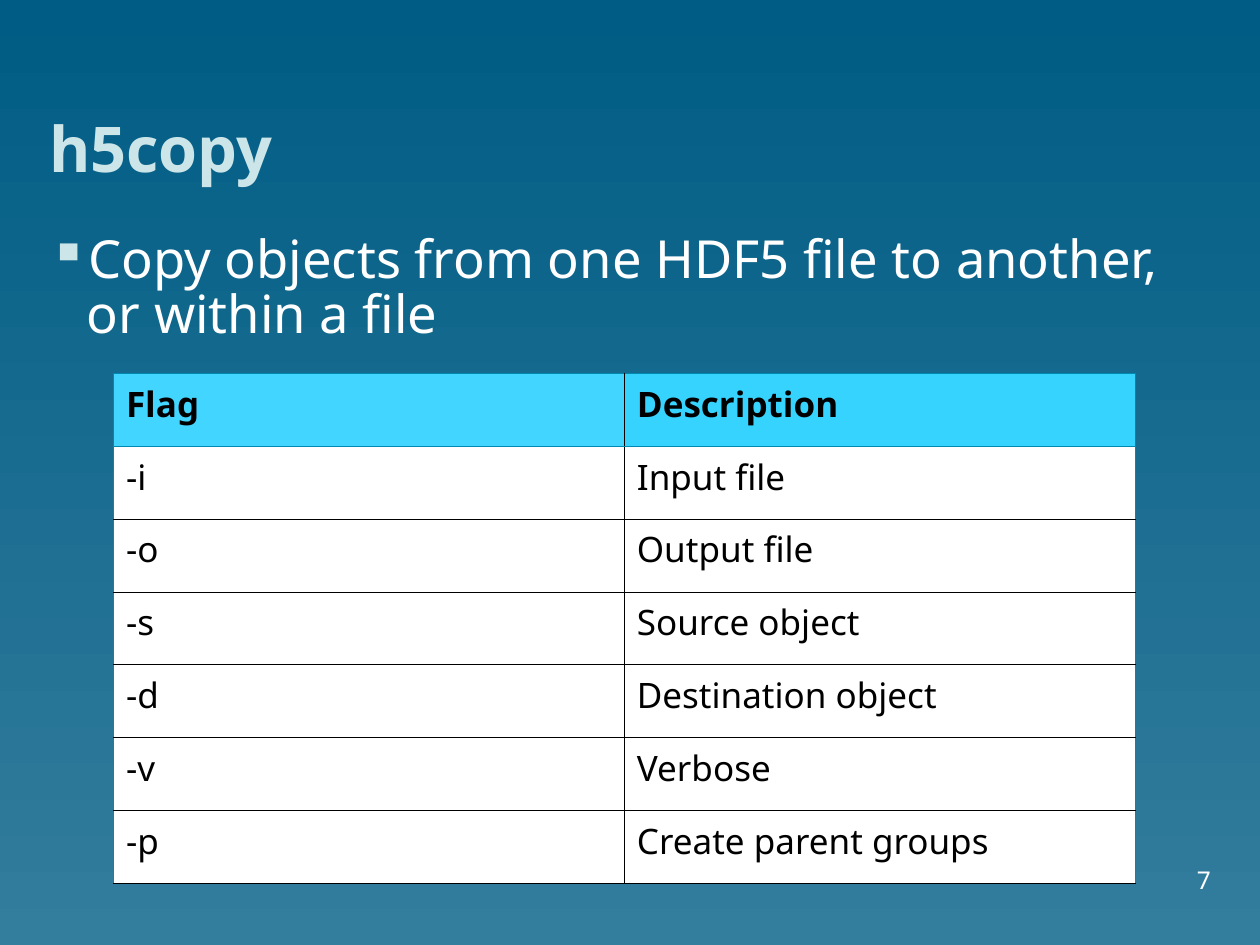
from dataclasses import dataclass

from lxml import etree
from pptx import Presentation
from pptx.dml.color import RGBColor
from pptx.enum import text
from pptx.oxml import ns
from pptx.util import Inches, Pt

WIDTH, HEIGHT = Inches(10), Inches(7.5)
FONT = "Noto Sans"
PALE, WHITE, BLACK, EDGE = "CCE5E9", "FFFFFF", "000000", "0089B0"
HEADER_FILLS = ("42D5FF", "37D3FF")
ROWS = (
    ("Flag", "Description"),
    ("-i", "Input file"),
    ("-o", "Output file"),
    ("-s", "Source object"),
    ("-d", "Destination object"),
    ("-v", "Verbose"),
    ("-p", "Create parent groups"),
)


@dataclass(frozen=True)
class Area:
    left: float
    top: float
    width: float
    height: float

    def lengths(self) -> tuple[int, ...]:
        return (
            round(self.left * WIDTH),
            round(self.top * HEIGHT),
            round(self.width * WIDTH),
            round(self.height * HEIGHT),
        )


@dataclass(frozen=True)
class Label:
    words: str
    area: Area
    size: int
    color: str = WHITE
    bold: bool = False
    anchor: text.MSO_ANCHOR = text.MSO_ANCHOR.BOTTOM
    align: text.PP_ALIGN = text.PP_ALIGN.LEFT


TITLE = Label("h5copy", Area(0.039, 0, 0.921, 0.196), 36, PALE, True)
SUMMARY = Label(
    "Copy objects from one HDF5 file to another, or within a file",
    Area(0.039, 0.248, 0.921, 0.656), 30, anchor=text.MSO_ANCHOR.TOP,
)
NUMBER = Label("7", Area(0.752, 0.92, 0.209, 0.027), 14, align=text.PP_ALIGN.RIGHT)
FLAGS = Area(0.09, 0.395, 0.811, 0.54)


def color(value: str) -> RGBColor:
    return RGBColor.from_string(value)


def set_font(para, size: int, value: str, bold: bool) -> None:
    para.font.name = FONT
    para.font.size = Pt(size)
    para.font.bold = bold
    para.font.color.rgb = color(value)


def add_label(page, label: Label):
    box = page.shapes.add_textbox(*label.area.lengths())
    frame = box.text_frame
    frame.word_wrap = True
    frame.vertical_anchor = label.anchor
    frame.margin_left = frame.margin_right = frame.margin_top = frame.margin_bottom = 0
    para = frame.paragraphs[0]
    para.text = label.words
    para.alignment = label.align
    set_font(para, label.size, label.color, label.bold)
    return para


def add_bullet(para, sign: str, value: str, indent: float) -> None:
    para.line_spacing = 0.87
    props = para._p.get_or_add_pPr()
    props.set("marL", str(Inches(indent)))
    props.set("indent", str(-Inches(indent)))
    tint = etree.Element(ns.qn("a:buClr"))
    etree.SubElement(tint, ns.qn("a:srgbClr"), val=value)
    mark = etree.Element(ns.qn("a:buChar"), char=sign)
    spacing = props.find(ns.qn("a:lnSpc"))
    spacing.addnext(tint)
    tint.addnext(mark)


def add_border(cell, side: str, value: str) -> None:
    line = etree.SubElement(
        cell._tc.get_or_add_tcPr(), ns.qn(f"a:ln{side}"), w=str(Pt(0.45))
    )
    fill = etree.SubElement(line, ns.qn("a:solidFill"))
    etree.SubElement(fill, ns.qn("a:srgbClr"), val=value)


def add_flags(page, area: Area, rows: tuple[tuple[str, str], ...]) -> None:
    table = page.shapes.add_table(len(rows), len(rows[0]), *area.lengths()).table
    for row, entries in enumerate(rows):
        header = row == 0
        borders = {
            "T": EDGE if row <= 1 else BLACK,
            "B": EDGE if header else BLACK,
        }
        for column, words in enumerate(entries):
            cell = table.cell(row, column)
            sides = {
                "L": EDGE if column == 0 else BLACK,
                "R": EDGE if column == len(entries) - 1 else BLACK,
            }
            for side, value in (sides | borders).items():
                add_border(cell, side, value)
            cell.fill.solid()
            cell.fill.fore_color.rgb = color(HEADER_FILLS[column] if header else WHITE)
            para = cell.text_frame.paragraphs[0]
            para.text = words
            set_font(para, 20, BLACK, header)


def set_background(page, top: str, bottom: str) -> None:
    fill = page.background.fill
    fill.gradient()
    fill.gradient_angle = 270
    for stop, value, position in zip(fill.gradient_stops, (top, bottom), (0, 1)):
        stop.color.rgb = color(value)
        stop.position = position


def main() -> None:
    deck = Presentation()
    deck.slide_width, deck.slide_height = WIDTH, HEIGHT
    page = deck.slides.add_slide(deck.slide_layouts[6])
    set_background(page, "005C84", "337D9D")
    add_label(page, TITLE)
    add_bullet(add_label(page, SUMMARY), "▪", PALE, 0.3)
    add_label(page, NUMBER)
    add_flags(page, FLAGS, ROWS)
    deck.save("out.pptx")


if __name__ == "__main__":
    main()
